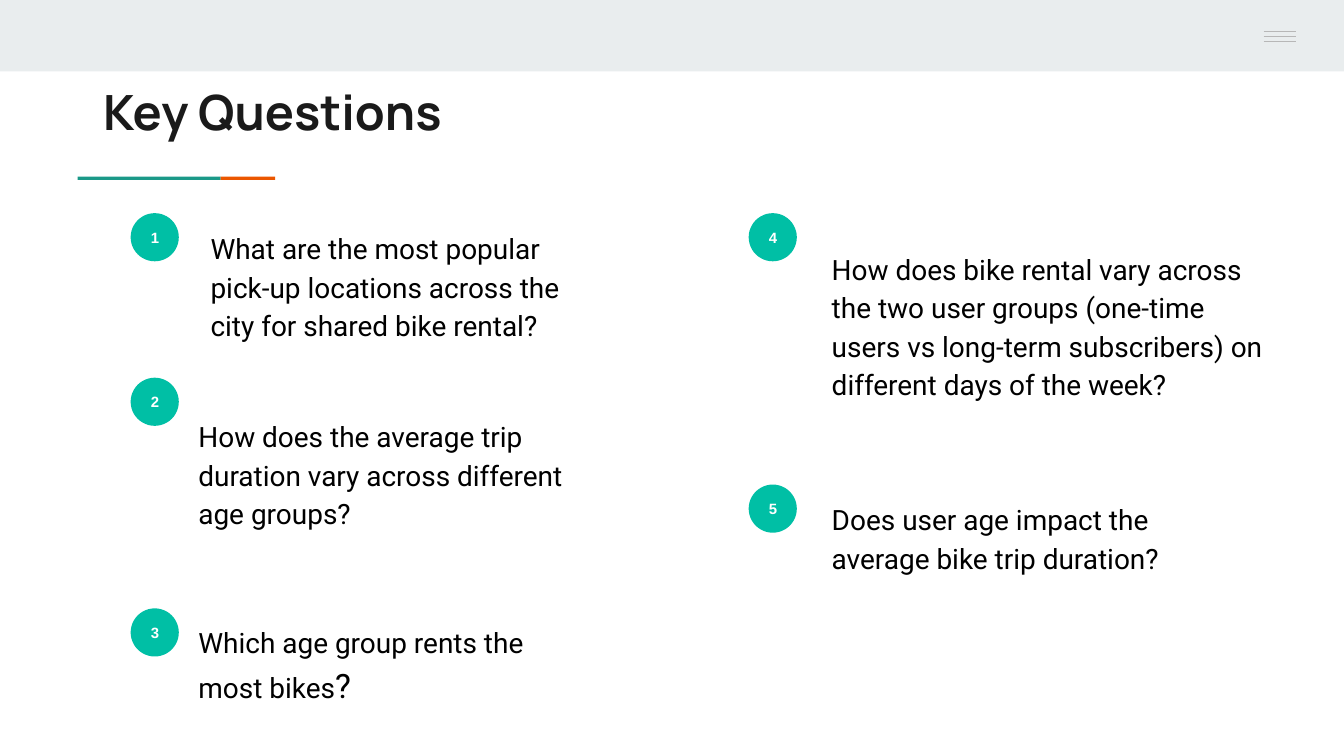
from dataclasses import dataclass

from lxml.etree import SubElement
from pptx import Presentation
from pptx.dml.color import RGBColor
from pptx.enum.shapes import MSO_CONNECTOR, MSO_SHAPE
from pptx.enum.text import MSO_ANCHOR, PP_ALIGN
from pptx.oxml.ns import qn
from pptx.util import Cm, Pt


@dataclass(frozen=True)
class Theme:
    band: str = "E9EDEE"
    menu: str = "B7B7B7"
    teal: str = "1A9988"
    orange: str = "EB5600"
    badge: str = "00BFA5"
    badge_text: str = "FFFFFF"
    title: str = "1A1A1A"
    body: str = "000000"
    title_font: str = "Manrope"
    body_font: str = "Roboto"
    badge_font: str = "Arial"
    title_size: int = 26
    body_size: int = 15
    mark_size: int = 18
    badge_size: int = 8


THEME = Theme()
PAGE_WIDTH, PAGE_HEIGHT = 25.4, 14.29
BADGE_SIZE = 0.91
INSET = 0.25
LEFT_BADGES, RIGHT_BADGES = 2.47, 14.15
LEFT_TEXT, RIGHT_TEXT = 3.5, 15.47

# number, left, top
BADGES = [
    (1, LEFT_BADGES, 4.03),
    (2, LEFT_BADGES, 7.14),
    (3, LEFT_BADGES, 11.5),
    (4, RIGHT_BADGES, 4.03),
    (5, RIGHT_BADGES, 9.16),
]

# left, top, width, height, paragraphs as lists of (text, size)
BODY = THEME.body_size
QUESTIONS = [
    (3.73, 4.03, 7.44, 2.9,
     [[("What are the most popular pick-up locations across the city "
        "for shared bike rental?", BODY)]]),
    (LEFT_TEXT, 7.59, 7.75, 6.3,
     [[("How does the average trip duration vary across different "
        "age groups?", BODY)],
      [("Which age group rents the most bikes", BODY), ("?", THEME.mark_size)]]),
    (RIGHT_TEXT, 4.42, 8.74, 3.6,
     [[("How does bike rental vary across the two user groups (one-time users "
        "vs long-term subscribers) on different days of the week?", BODY)]]),
    (RIGHT_TEXT, 9.16, 7.87, 2.92,
     [[("Does user age impact the average bike trip duration?", BODY)]]),
]


def style_font(font, name, color, size=None, bold=False):
    font.name = name
    font.bold = bold
    font.color.rgb = RGBColor.from_string(color)
    if size:
        font.size = Pt(size)


def set_insets(frame):
    frame.word_wrap = True
    frame.margin_left = frame.margin_right = Cm(INSET)
    frame.margin_top = frame.margin_bottom = Cm(INSET)


def add_filled(page, kind, left, top, width, height, color):
    shape = page.shapes.add_shape(kind, Cm(left), Cm(top), Cm(width), Cm(height))
    shape.shadow.inherit = False
    shape.fill.solid()
    shape.fill.fore_color.rgb = RGBColor.from_string(color)
    shape.line.fill.background()
    return shape


def add_text_frame(page, left, top, width, height):
    box = page.shapes.add_textbox(Cm(left), Cm(top), Cm(width), Cm(height))
    set_insets(box.text_frame)
    return box.text_frame


def add_menu_icon(page):
    for row in range(3):
        height = Cm(0.6 + row * 0.09)
        line = page.shapes.add_connector(
            MSO_CONNECTOR.STRAIGHT, Cm(23.88), height, Cm(24.49), height)
        line.line.color.rgb = RGBColor.from_string(THEME.menu)
        line.line.width = Pt(0.75)
        SubElement(line._element.spPr, qn("a:effectLst"))


def add_title(page, text):
    para = add_text_frame(page, 1.7, 1.3, 21.36, 1.5).paragraphs[0]
    para.text = text
    style_font(para.font, THEME.title_font, THEME.title, THEME.title_size, True)


def add_badge(page, number, left, top):
    badge = add_filled(page, MSO_SHAPE.OVAL, left, top, BADGE_SIZE, BADGE_SIZE,
                       THEME.badge)
    frame = badge.text_frame
    set_insets(frame)
    frame.vertical_anchor = MSO_ANCHOR.MIDDLE
    para = frame.paragraphs[0]
    para.text = str(number)
    para.alignment = PP_ALIGN.CENTER
    style_font(para.font, THEME.badge_font, THEME.badge_text, THEME.badge_size, True)


def add_questions(page, left, top, width, height, paragraphs):
    frame = add_text_frame(page, left, top, width, height)
    for index, spans in enumerate(paragraphs):
        para = frame.add_paragraph() if index else frame.paragraphs[0]
        para.line_spacing = 1.15
        if index:
            para.space_before = Pt(48)
        style_font(para.font, THEME.body_font, THEME.body)
        for text, size in spans:
            span = para.add_run()
            span.text = text
            span.font.size = Pt(size)


def main():
    deck = Presentation()
    deck.slide_width, deck.slide_height = Cm(PAGE_WIDTH), Cm(PAGE_HEIGHT)
    page = deck.slides.add_slide(deck.slide_layouts[6])

    add_filled(page, MSO_SHAPE.RECTANGLE, 0, 0, PAGE_WIDTH, 1.35, THEME.band)
    add_filled(page, MSO_SHAPE.RECTANGLE, 1.47, 3.34, 2.7, 0.06, THEME.teal)
    add_filled(page, MSO_SHAPE.RECTANGLE, 4.17, 3.34, 1.03, 0.06, THEME.orange)
    add_menu_icon(page)
    add_title(page, "Key Questions")
    for badge in BADGES:
        add_badge(page, *badge)
    for question in QUESTIONS:
        add_questions(page, *question)

    deck.save("out.pptx")


if __name__ == "__main__":
    main()
